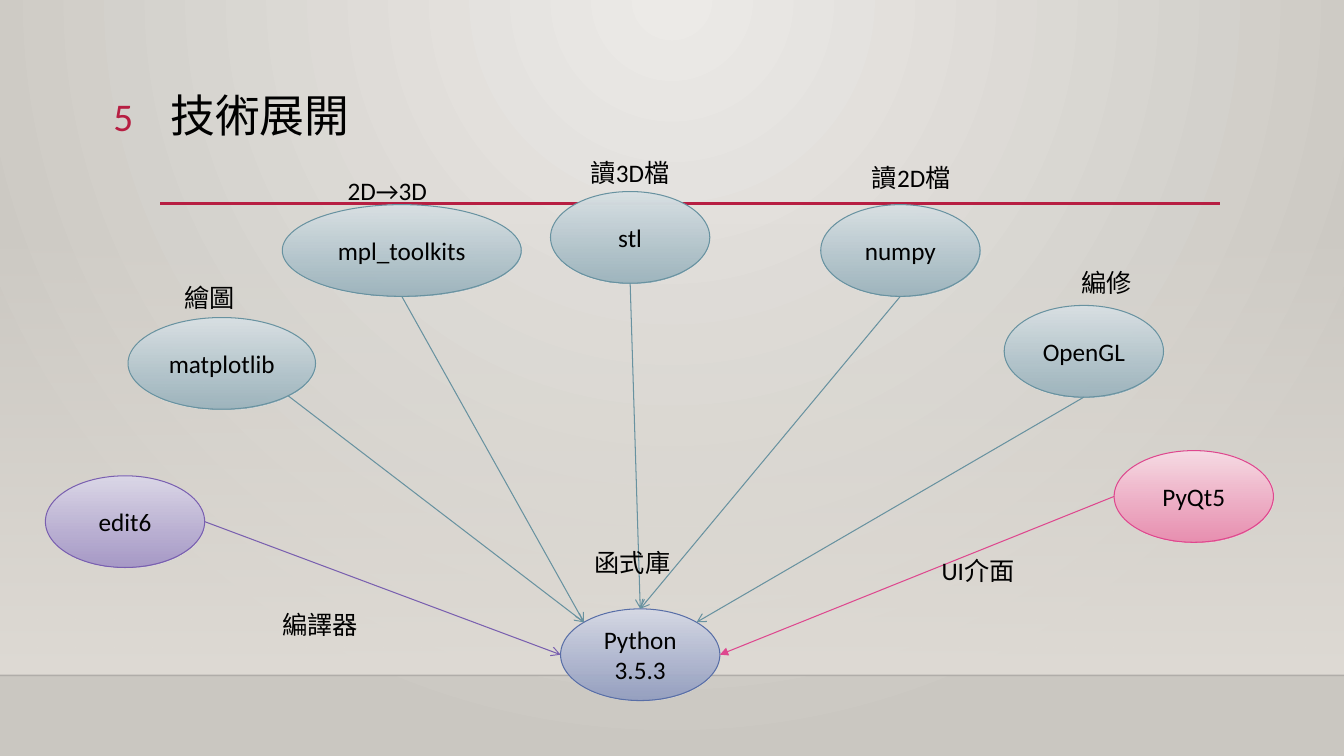
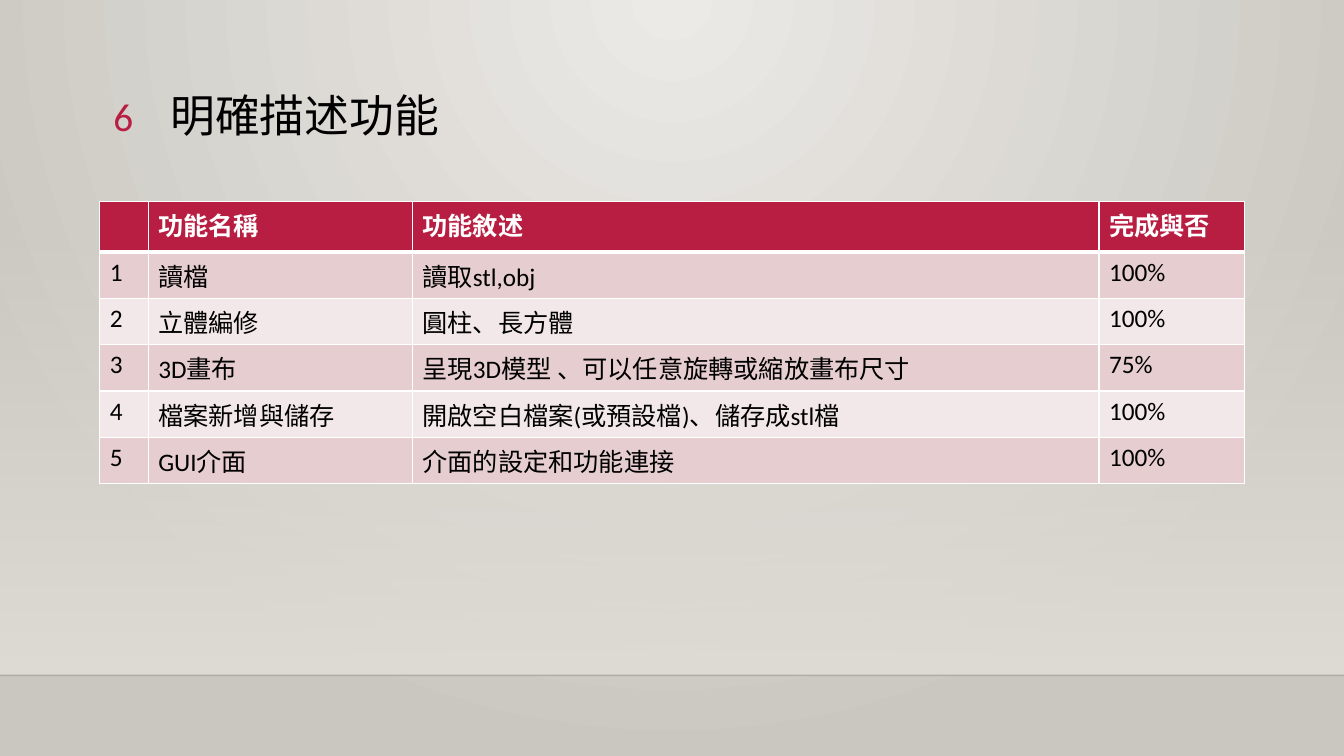
from math import cos, radians, sin

from lxml import etree
from pptx import Presentation
from pptx import util as u
from pptx.dml.color import RGBColor
from pptx.enum import shapes, text
from pptx.oxml.ns import qn

FONT = "Calibri"
BLACK, WHITE, RED = "000000", "FFFFFF", "B71E42"
BACKDROP = [("ECEAE7", 100), ("CAC7C1", 100)]
HAZE = [("DFDBD5", 0), ("DFDBD5", 100)]
HEADER, ROW_BANDS = RED, ("E6CDCF", "F3E8E9")
# style: gradient top, gradient bottom, outline
STYLES = {
    "teal": ("D9E1E4", "9AB2BC", "6892A0"),
    "violet": ("DCD8E8", "A395C6", "795FAF"),
    "blue": ("D6D9E5", "929DC0", "586EA6"),
    "pink": ("F7DCE5", "EA8AAE", "DE478E"),
}
NODE_W, NODE_H = 1.58, 0.91
# ellipse connection sites, counter-clockwise from the top
TOP, TOP_LEFT, LEFT, BOTTOM, BOTTOM_RIGHT, RIGHT, TOP_RIGHT = 0, 1, 2, 4, 5, 6, 7

# name, left, top, width, style, site, hub site, arrowhead
NODES = [
    ("edit6", 0.45, 4.72, NODE_W, "violet", RIGHT, LEFT, "arrow"),
    ("matplotlib", 1.27, 3.15, 1.86, "teal", BOTTOM_RIGHT, TOP_LEFT, "arrow"),
    ("mpl_toolkits", 2.8, 2.03, 2.37, "teal", BOTTOM, TOP_LEFT, "arrow"),
    ("stl", 5.46, 1.9, NODE_W, "teal", BOTTOM, TOP, "arrow"),
    ("numpy", 8.14, 2.03, NODE_W, "teal", BOTTOM, TOP, "arrow"),
    ("OpenGL", 9.96, 3.03, NODE_W, "teal", BOTTOM, TOP_RIGHT, "arrow"),
    ("PyQt5", 11.05, 4.47, NODE_W, "pink", LEFT, RIGHT, "triangle"),
]
# text, left, top
LABELS = [
    ("編譯器", 2.7, 6), ("繪圖", 1.73, 2.75), ("2D→3D", 3.35, 1.69),
    ("讀3D檔", 5.76, 1.51), ("讀2D檔", 8.55, 1.56), ("編修", 10.63, 2.6),
    ("UI介面", 9.24, 5.46), ("函式庫", 5.8, 5.38),
]
FEATURES = [
    ("", "功能名稱", "功能敘述", "完成與否"),
    ("1", "讀檔", "讀取stl,obj", "100%"),
    ("2", "立體編修", "圓柱、長方體", "100%"),
    ("3", "3D畫布", "呈現3D模型 、可以任意旋轉或縮放畫布尺寸", "75%"),
    ("4", "檔案新增與儲存", "開啟空白檔案(或預設檔)、儲存成stl檔", "100%"),
    ("5", "GUI介面", "介面的設定和功能連接", "100%"),
]


def rgb(value):
    return RGBColor.from_string(value)


def inches(*values):
    return [u.Inches(v) for v in values]


def sub(parent, tag, **attrs):
    return etree.SubElement(parent, qn(tag), {k: str(v) for k, v in attrs.items()})


def add_color(parent, color, alpha=100):
    clr = sub(parent, "a:srgbClr", val=color)
    if alpha < 100:
        sub(clr, "a:alpha", val=alpha * 1000)


def set_gradient(fill, element, stops, circle=False):
    """Fill with evenly spaced (colour, opacity) stops, downward or from the top centre."""
    fill.gradient()
    grad = element.find(".//" + qn("a:gradFill"))
    for child in list(grad):
        grad.remove(child)
    stop_list = sub(grad, "a:gsLst")
    for i, (color, alpha) in enumerate(stops):
        stop = sub(stop_list, "a:gs", pos=100000 * i // (len(stops) - 1))
        add_color(stop, color, alpha)
    if circle:
        way = sub(grad, "a:path", path="circle")
        sub(way, "a:fillToRect", l=43000, t=0, r=43000, b=100000)
    else:
        sub(grad, "a:lin", ang=5400000, scaled=0)


def write(tf, content, size=18, color=BLACK, bold=False, align=None, spacing=None):
    for i, line in enumerate(content.split("\n")):
        p = tf.paragraphs[0] if i == 0 else tf.add_paragraph()
        p.alignment, p.line_spacing = align, spacing
        r = p.add_run()
        r.text = line
        r.font.name, r.font.size, r.font.bold = FONT, u.Pt(size), bold
        r.font.color.rgb = rgb(color)


def add_text(s, content, box, **fmt):
    tf = s.shapes.add_textbox(*inches(*box)).text_frame
    tf.word_wrap = True
    write(tf, content, **fmt)


def add_line(s, start, end, color, width, alpha=100, head=None):
    line = s.shapes.add_connector(shapes.MSO_CONNECTOR.STRAIGHT, *inches(*start, *end))
    line.line.color.rgb = rgb(color)
    line.line.width = u.Pt(width)
    props = line._element.spPr
    if alpha < 100:
        sub(props.find(".//" + qn("a:srgbClr")), "a:alpha", val=alpha * 1000)
    if head:
        sub(props.find(qn("a:ln")), "a:tailEnd", type=head)
    sub(props, "a:effectLst")
    return line


def add_base(prs, title, number):
    """Add a slide with the shared backdrop, rules, title and number."""
    s = prs.slides.add_slide(prs.slide_layouts[6])
    set_gradient(s.background.fill, s._element, BACKDROP, circle=True)
    haze = s.shapes.add_shape(shapes.MSO_SHAPE.RECTANGLE, *inches(0, 2.21, 13.33, 4.49))
    haze.shadow.inherit = False
    haze.line.fill.background()
    set_gradient(haze.fill, haze._element, HAZE)
    add_line(s, (0, 6.7), (13.33, 6.7), "000001", 1, alpha=20)
    add_line(s, (1.59, 2.02), (12.1, 2.02), RED, 2.5)
    add_text(s, title, (1.59, 0.88, 10.5, 1.15), size=32, spacing=0.9)
    add_text(s, str(number), (0.53, 0.87, 0.89, 0.55), size=28, color=RED,
             align=text.PP_ALIGN.RIGHT)
    return s


def add_node(s, name, box, style):
    top, bottom, outline = STYLES[style]
    sp = s.shapes.add_shape(shapes.MSO_SHAPE.OVAL, *inches(*box))
    sp.shadow.inherit = False
    set_gradient(sp.fill, sp._element, [(top, 100), (bottom, 92)])
    sp.line.color.rgb = rgb(outline)
    sp.line.width = u.Pt(0.75)
    sp.text_frame.vertical_anchor = text.MSO_ANCHOR.MIDDLE
    write(sp.text_frame, name, align=text.PP_ALIGN.CENTER)
    return sp


def site_point(box, site):
    """Return the point of an ellipse's connection site."""
    left, top, width, height = box
    angle = radians(90 + 45 * site)
    return (left + width / 2 * (1 + cos(angle)), top + height / 2 * (1 - sin(angle)))


def join(line, begin, begin_site, end, end_site):
    """Attach a line to ellipses, which have eight sites instead of four."""
    props = line._element.nvCxnSpPr.cNvCxnSpPr
    sub(props, "a:stCxn", id=begin.shape_id, idx=begin_site)
    sub(props, "a:endCxn", id=end.shape_id, idx=end_site)


def add_diagram(s, left, top):
    """Draw the tools around the Python hub."""
    hub_box = (left + 5.56, top + 6.04, NODE_W, NODE_H)
    hub = add_node(s, "Python\n3.5.3", hub_box, "blue")
    for name, x, y, width, style, site, hub_site, head in NODES:
        box = (left + x, top + y, width, NODE_H)
        node = add_node(s, name, box, style)
        arrow = add_line(s, site_point(box, site), site_point(hub_box, hub_site),
                         STYLES[style][2], 0.75, head=head)
        join(arrow, node, site, hub, hub_site)
    for label, x, y in LABELS:
        add_text(s, label, (left + x, top + y, 1.24, 0.4))


def set_borders(cell, bottom):
    props = cell._tc.get_or_add_tcPr()
    for i, (tag, width) in enumerate((("a:lnL", 1), ("a:lnR", 1), ("a:lnT", 1), ("a:lnB", bottom))):
        ln = etree.Element(qn(tag), w=str(u.Pt(width)))
        add_color(sub(ln, "a:solidFill"), WHITE)
        props.insert(i, ln)


def add_feature_table(s, left, top):
    widths, heights = (0.48, 2.62, 6.81, 1.44), [0.5] + [0.46] * 5
    frame = s.shapes.add_table(len(heights), len(widths),
                               *inches(left, top, sum(widths), sum(heights)))
    table = frame.table
    for col, width in zip(table.columns, widths):
        col.width = u.Inches(width)
    for i, (row, height, values) in enumerate(zip(table.rows, heights, FEATURES)):
        row.height = u.Inches(height)
        header = i == 0
        for cell, value in zip(row.cells, values):
            cell.fill.solid()
            cell.fill.fore_color.rgb = rgb(HEADER if header else ROW_BANDS[(i - 1) % 2])
            set_borders(cell, bottom=3 if header else 1)
            if value:
                write(cell.text_frame, value, color=WHITE if header else BLACK, bold=header)


def main():
    prs = Presentation()
    prs.slide_width, prs.slide_height = inches(13.33, 7.5)
    add_diagram(add_base(prs, "技術展開", 5), 0, 0)
    add_feature_table(add_base(prs, "明確描述功能", 6), 0.99, 2)
    prs.save("out.pptx")


if __name__ == "__main__":
    main()
